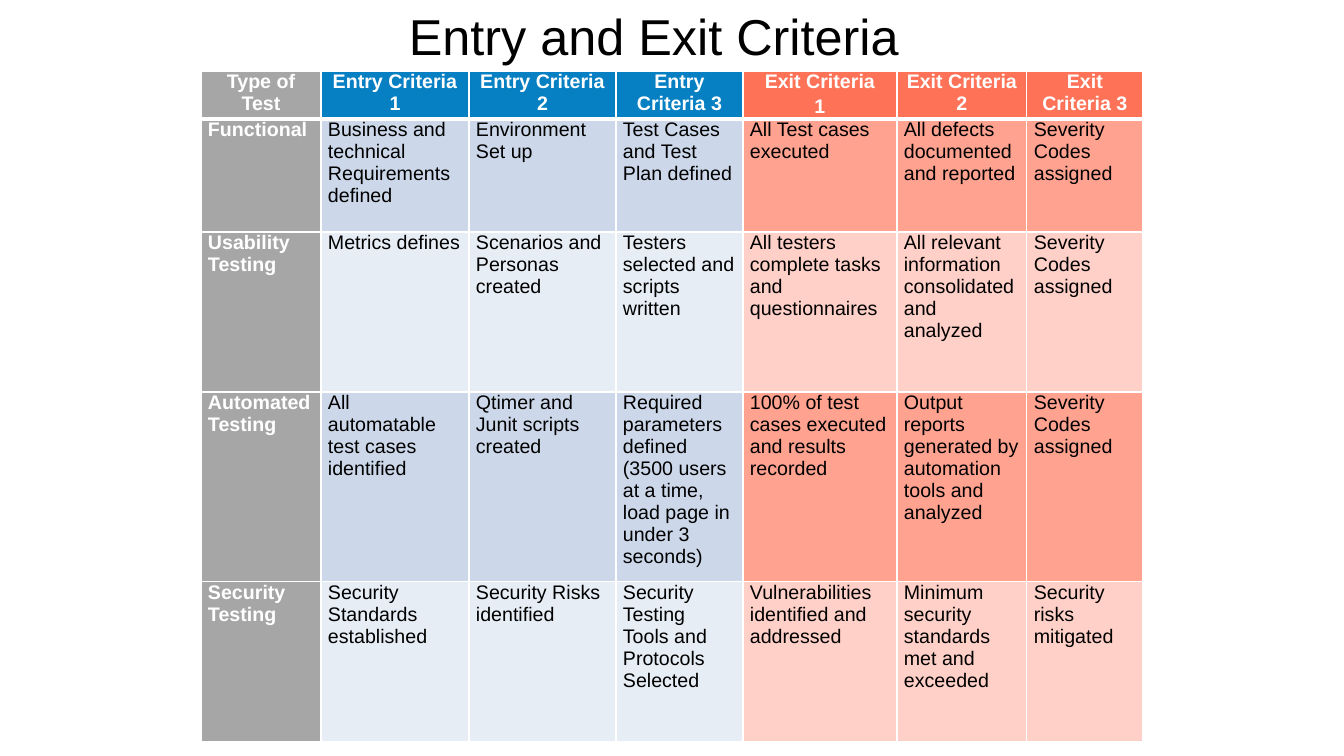
from lxml.etree import SubElement as Sub
from pptx import Presentation
from pptx.dml.color import RGBColor as Rgb
from pptx.enum.text import MSO_AUTO_SIZE as Auto, PP_ALIGN as Align
from pptx.oxml.ns import qn
from pptx.util import Pt

WIDE, HIGH = 1344, 756
HUES = {
    "white": "FFFFFF", "black": "000000", "gray": "A6A6A6",
    "blue": "0680C3", "blue dark": "CCD8E9", "blue light": "E7EDF5",
    "red": "FE7358", "red dark": "FFA290", "red light": "FFD0C7",
}
COLS = [120, 148, 147, 127, 154, 130, 116]
ROWS = [48, 113, 160, 190, 160]
CELLS = [
    ["Type of Test", "Entry Criteria 1", "Entry Criteria 2", "Entry Criteria 3",
     "Exit Criteria\n1", "Exit Criteria 2", "Exit Criteria 3"],
    ["Functional", "Business and technical Requirements defined",
     "Environment Set up", "Test Cases and Test Plan defined",
     "All Test cases executed", "All defects documented and reported",
     "Severity Codes assigned"],
    ["Usability Testing", "Metrics defines", "Scenarios and Personas created",
     "Testers selected and scripts written",
     "All testers complete tasks and questionnaires",
     "All relevant information consolidated and analyzed",
     "Severity Codes assigned"],
    ["Automated Testing", "All automatable test cases identified",
     "Qtimer and Junit scripts created",
     "Required parameters defined (3500 users at a time, load page in under 3 seconds)",
     "100% of test cases executed and results recorded",
     "Output reports generated by automation tools and analyzed",
     "Severity Codes assigned"],
    ["Security Testing", "Security Standards established",
     "Security Risks identified", "Security Testing Tools and Protocols Selected",
     "Vulnerabilities identified and addressed",
     "Minimum security standards met and exceeded",
     "Security risks mitigated"],
]


def px(n):
    return round(n * 12192000 / WIDE)


def shade(row, col):
    if col == 0:
        return "gray"
    base = "blue" if col < 4 else "red"
    if row == 0:
        return base
    return f"{base} dark" if row % 2 else f"{base} light"


class Deck:
    """Holds the style and the current slide, and draws on it."""

    def __init__(self, face):
        self.face = face
        self.show = Presentation()
        self.show.slide_width, self.show.slide_height = px(WIDE), px(HIGH)
        self.slide = self.show.slides.add_slide(self.show.slide_layouts[6])

    def font(self, para, size, hue, bold=False):
        font = para.font
        font.name, font.size, font.bold = self.face, Pt(size), bold
        font.color.rgb = Rgb.from_string(HUES[hue])

    def title(self, text, x, y, w, h):
        frame = self.slide.shapes.add_textbox(px(x), px(y), px(w), px(h)).text_frame
        frame.word_wrap = True
        frame.auto_size = Auto.SHAPE_TO_FIT_TEXT
        frame.text = text
        self.font(frame.paragraphs[0], 36, "black")

    def edge(self, cell, side, width):
        line = Sub(cell._tc.get_or_add_tcPr(), qn(f"a:ln{side}"), w=str(Pt(width)))
        fill = Sub(line, qn("a:solidFill"))
        Sub(fill, qn("a:srgbClr"), val=HUES["white"])

    def cell(self, cell, text, row, col):
        cell.margin_left = cell.margin_right = px(7)
        cell.margin_top = cell.margin_bottom = 0
        for side in "LRTB":
            thick = (row, side) in [(0, "B"), (1, "T")]
            self.edge(cell, side, 3 if thick else 1)
        cell.fill.solid()
        cell.fill.fore_color.rgb = Rgb.from_string(HUES[shade(row, col)])
        cell.text = text
        head = row == 0 or col == 0
        for para in cell.text_frame.paragraphs:
            para.alignment = Align.CENTER if row == 0 else Align.LEFT
            para.space_before = para.space_after = Pt(1)
            self.font(para, 14, "white" if head else "black", head)

    def table(self, cells, x, y, cols, rows):
        table = self.slide.shapes.add_table(
            len(rows), len(cols), px(x), px(y), px(sum(cols)), px(sum(rows))).table
        table.horz_banding = False
        for col, size in zip(table.columns, cols):
            col.width = px(size)
        for row, size in zip(table.rows, rows):
            row.height = px(size)
        for r, line in enumerate(cells):
            for c, text in enumerate(line):
                self.cell(table.cell(r, c), text, r, c)


def main():
    deck = Deck("Arial")
    deck.table(CELLS, 201, 71, COLS, ROWS)
    deck.title("Entry and Exit Criteria", 399, 0, 546, 72)
    deck.show.save("out.pptx")


if __name__ == "__main__":
    main()
